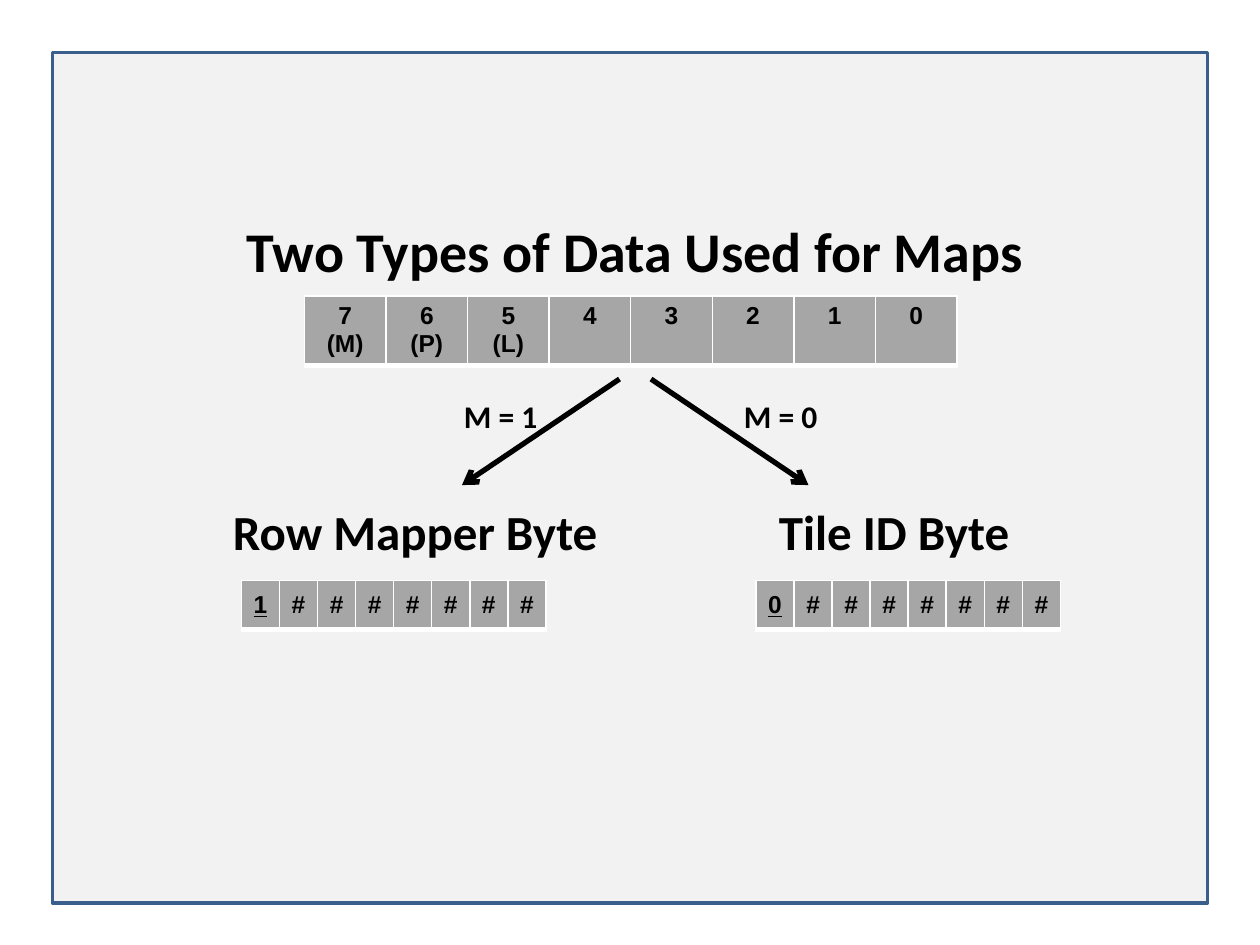
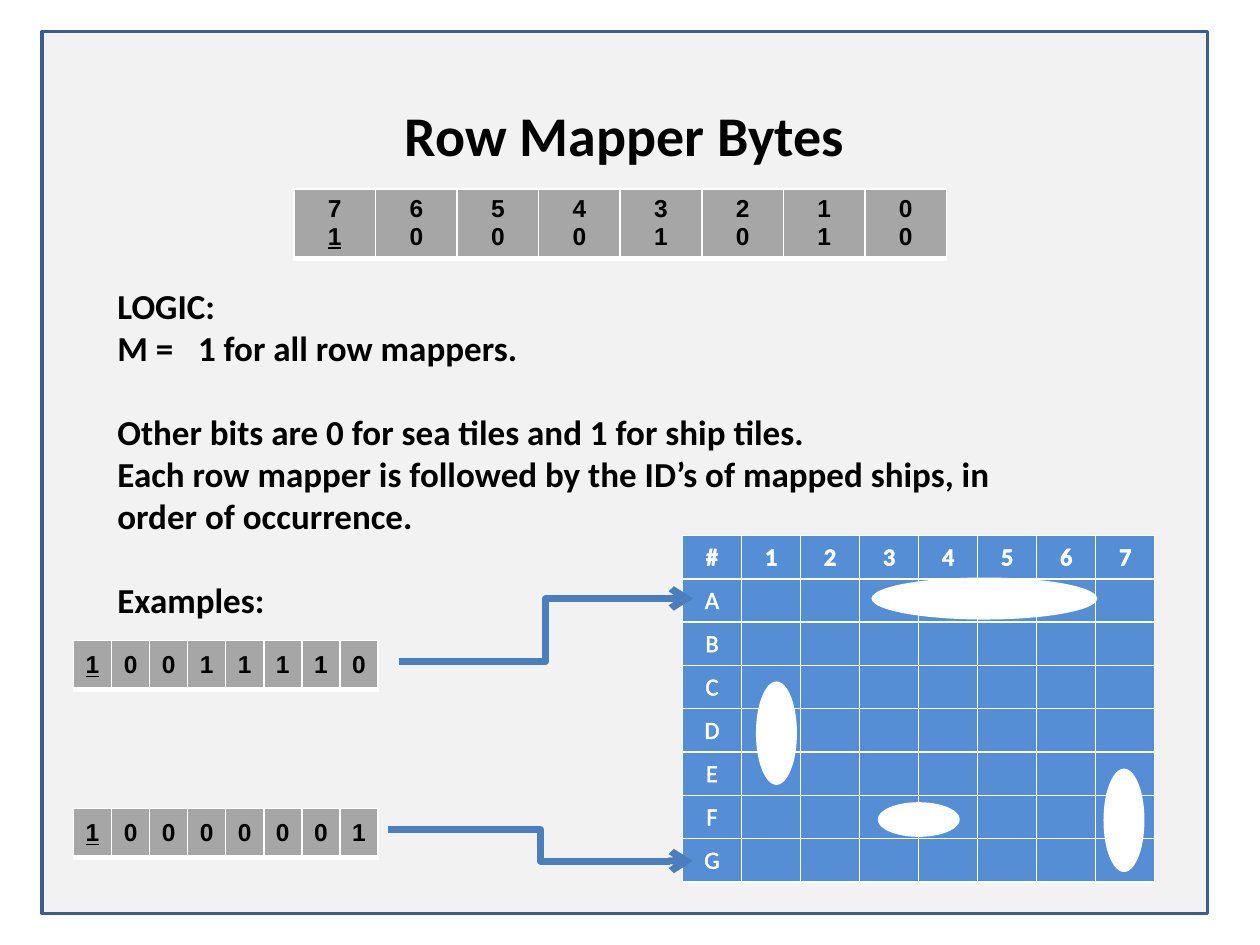
from lxml.etree import SubElement
from pptx import Presentation
from pptx.dml.color import RGBColor
from pptx.enum.shapes import MSO_CONNECTOR, MSO_SHAPE
from pptx.enum.text import MSO_ANCHOR, MSO_AUTO_SIZE, PP_ALIGN
from pptx.oxml.ns import qn
from pptx.util import Inches, Pt

COLOURS = {
    "panel": "F2F2F2", "edge": "3A5F8C", "ink": "000000", "bit": "A6A6A6",
    "sea": "558ED5", "white": "FFFFFF", "link": "4B7EBC",
}
COLUMNS, ROWS = 120, 90
WIDTH, HEIGHT = Inches(10), Inches(7.5)
BITS = 8
WIDE_BYTE, SLIM_BYTE = (62.16, 6.6), (29, 4.65)


def colour(name):
    """Return the named palette colour."""
    return RGBColor.from_string(COLOURS[name])


def place(*lengths):
    """Turn alternating grid columns and rows into slide lengths."""
    steps = (WIDTH / COLUMNS, HEIGHT / ROWS)
    return [round(length * steps[i % 2]) for i, length in enumerate(lengths)]


def add_span(para, text, size, ink="ink", font="Calibri", bold=True):
    """Add one formatted run to a paragraph and return it."""
    span = para.add_run()
    span.text = text
    span.font.name, span.font.size, span.font.bold = font, Pt(size), bold
    span.font.color.rgb = colour(ink)
    return span


def add_text(page, box, lines, size, align=PP_ALIGN.LEFT):
    """Write lines in a text box and return its paragraphs."""
    frame = page.shapes.add_textbox(*place(*box)).text_frame
    frame.word_wrap = True
    frame.auto_size = MSO_AUTO_SIZE.SHAPE_TO_FIT_TEXT
    for i, line in enumerate(lines):
        para = frame.add_paragraph() if i else frame.paragraphs[0]
        para.alignment = align
        add_span(para, line, size)
    return frame.paragraphs


def add_title(page, box, text):
    """Write the centred slide title."""
    add_text(page, box, [text], 32, PP_ALIGN.CENTER)


def add_panel(page, box, kind=MSO_SHAPE.RECTANGLE, fill="panel", edge="edge"):
    """Draw a flat shape, with an edge when one is named."""
    panel = page.shapes.add_shape(kind, *place(*box))
    panel.shadow.inherit = False
    panel.fill.solid()
    panel.fill.fore_color.rgb = colour(fill)
    if edge:
        panel.line.color.rgb, panel.line.width = colour(edge), Pt(2)
    else:
        panel.line.fill.background()


def add_arrow(page, ends, kind, ink, width):
    """Draw a connector with an open arrowhead at its end."""
    arrow = page.shapes.add_connector(kind, *place(*ends))
    arrow.line.color.rgb, arrow.line.width = colour(ink), Pt(width)
    SubElement(arrow.line._ln, qn("a:tailEnd"), type="arrow")
    SubElement(arrow._element.spPr, qn("a:effectLst"))


def style_cell(cell, fill, bottom, filled):
    """Give a cell white borders, a plain fill and its margins."""
    props = cell._tc.get_or_add_tcPr()
    for side, width in zip("LRTB", (1, 1, 1, bottom)):
        line = SubElement(props, qn(f"a:ln{side}"), w=str(Pt(width)))
        paint = SubElement(line, qn("a:solidFill"))
        SubElement(paint, qn("a:srgbClr"), val=COLOURS["white"])
    cell.fill.solid()
    cell.fill.fore_color.rgb = colour(fill)
    cell.vertical_anchor = MSO_ANCHOR.MIDDLE
    cell.margin_left = cell.margin_right = Inches(0.05)
    cell.margin_top = cell.margin_bottom = Inches(0.05 if filled else 0)


def add_grid(page, box, rows, fill, bottom=1):
    """Add an evenly spaced table and yield each filled cell with its place."""
    left, top, width, height = place(*box)
    table = page.shapes.add_table(len(rows), BITS, left, top, width, height).table
    table.first_row = table.horz_banding = False
    for column in table.columns:
        column.width = width // BITS
    for r, texts in enumerate(rows):
        table.rows[r].height = height // len(rows)
        for c, text in enumerate(texts):
            cell = table.cell(r, c)
            style_cell(cell, fill, bottom, text)
            if text:
                yield r, cell, text


def add_byte(page, corner, size, bits, marked=None):
    """Add a byte of eight bits, underlining the marked line of the first."""
    for i, (_, cell, text) in enumerate(add_grid(page, (*corner, *size), [bits], "bit", 3)):
        if size == WIDE_BYTE:
            cell.vertical_anchor = MSO_ANCHOR.TOP
        for j, line in enumerate(text.split("\n")):
            para = cell.text_frame.add_paragraph() if j else cell.text_frame.paragraphs[0]
            para.alignment = PP_ALIGN.CENTER
            span = add_span(para, line, 14, font="Arial")
            span.font.underline = i == 0 and j == marked


def add_sea_map(page, box):
    """Add the map grid with its four ships."""
    left, top, width, height = box
    rows = ["#1234567"] + [[letter] + [""] * (BITS - 1) for letter in "ABCDEFG"]
    for r, cell, text in add_grid(page, box, rows, "sea"):
        para = cell.text_frame.paragraphs[0]
        para.alignment = PP_ALIGN.CENTER
        span = add_span(para, text, 14, "white", bold=r == 0)
        line = SubElement(span.font._element, qn("a:ln"), w=str(Pt(0.75)))
        paint = SubElement(line, qn("a:solidFill"))
        SubElement(paint, qn("a:srgbClr"), val=COLOURS["white"])
        span.font._element.insert(0, line)
    ships = [(18, 4, 21.5, 4), (18.6, 25.4, 7.8, 3.3), (7, 13.9, 3.9, 9.85), (40.1, 22.2, 3.9, 9.85)]
    for across, down, wide, high in ships:
        add_panel(page, (left + across, top + down, wide, high), MSO_SHAPE.OVAL, "white", None)


def add_logic(page, box):
    """Write the rules for row mapper bytes."""
    paras = add_text(page, box, [
        "LOGIC:",
        "M =\t1 for all row mappers.",
        "Other bits are 0 for sea tiles and 1 for ship tiles.",
        "Each row mapper is followed by the ID’s of mapped ships, in order of occurrence.",
        "Examples:",
    ], 20)
    tabs = SubElement(paras[1]._p.get_or_add_pPr(), qn("a:tabLst"))
    SubElement(tabs, qn("a:tab"), pos=str(Inches(0.64)), algn="l")
    for para in (paras[2], paras[4]):
        para.space_before = Pt(24)


def build_data_types(page):
    """Build the slide that splits map data into two byte types."""
    add_panel(page, (5, 5, 110, 81))
    add_byte(page, (29, 28.2), WIDE_BYTE, ["7\n(M)", "6\n(P)", "5\n(L)", *"43210"])
    branches = [
        (59, 44, 43, "M = 1", (21, 40), "Row Mapper Byte", 23, "1"),
        (62, 77, 69, " M = 0", (73, 27), "Tile ID Byte", 72, "0"),
    ]
    for start, end, note_left, note, (left, width), name, byte_left, first in branches:
        add_arrow(page, (start, 36.1, end, 46.2), MSO_CONNECTOR.STRAIGHT, "ink", 3)
        add_text(page, (note_left, 37.2, 20, 4.8), [note], 18)
        add_text(page, (left, 47.2, width, 6.8), [name], 28)
        add_byte(page, (byte_left, 55.3), SLIM_BYTE, first + "#" * (BITS - 1), 0)
    add_title(page, (19, 20, 83, 7.7), "Two Types of Data Used for Maps")


def build_row_mappers(page):
    """Build the slide that explains row mapper bytes."""
    add_panel(page, (4, 3, 111, 84))
    pairs = [f"{place_bit}\n{value}" for place_bit, value in zip("76543210", "10001010")]
    add_byte(page, (28, 18), WIDE_BYTE, pairs, 1)
    add_title(page, (28, 9, 63, 7.7), "Row Mapper Bytes")
    add_logic(page, (10, 26.5, 90, 37.6))
    add_sea_map(page, (65, 51, 45, 33))
    examples = [(61, "10011110", (38, 63, 66, 57)), (77, "10000001", (37, 79, 66, 82))]
    for top, bits, ends in examples:
        add_byte(page, (7, top), SLIM_BYTE, bits, 0)
        add_arrow(page, ends, MSO_CONNECTOR.ELBOW, "link", 4)


def main():
    """Build both slides and save the deck."""
    deck = Presentation()
    deck.slide_width, deck.slide_height = WIDTH, HEIGHT
    for build in (build_data_types, build_row_mappers):
        build(deck.slides.add_slide(deck.slide_layouts[6]))
    deck.save("out.pptx")


if __name__ == "__main__":
    main()
